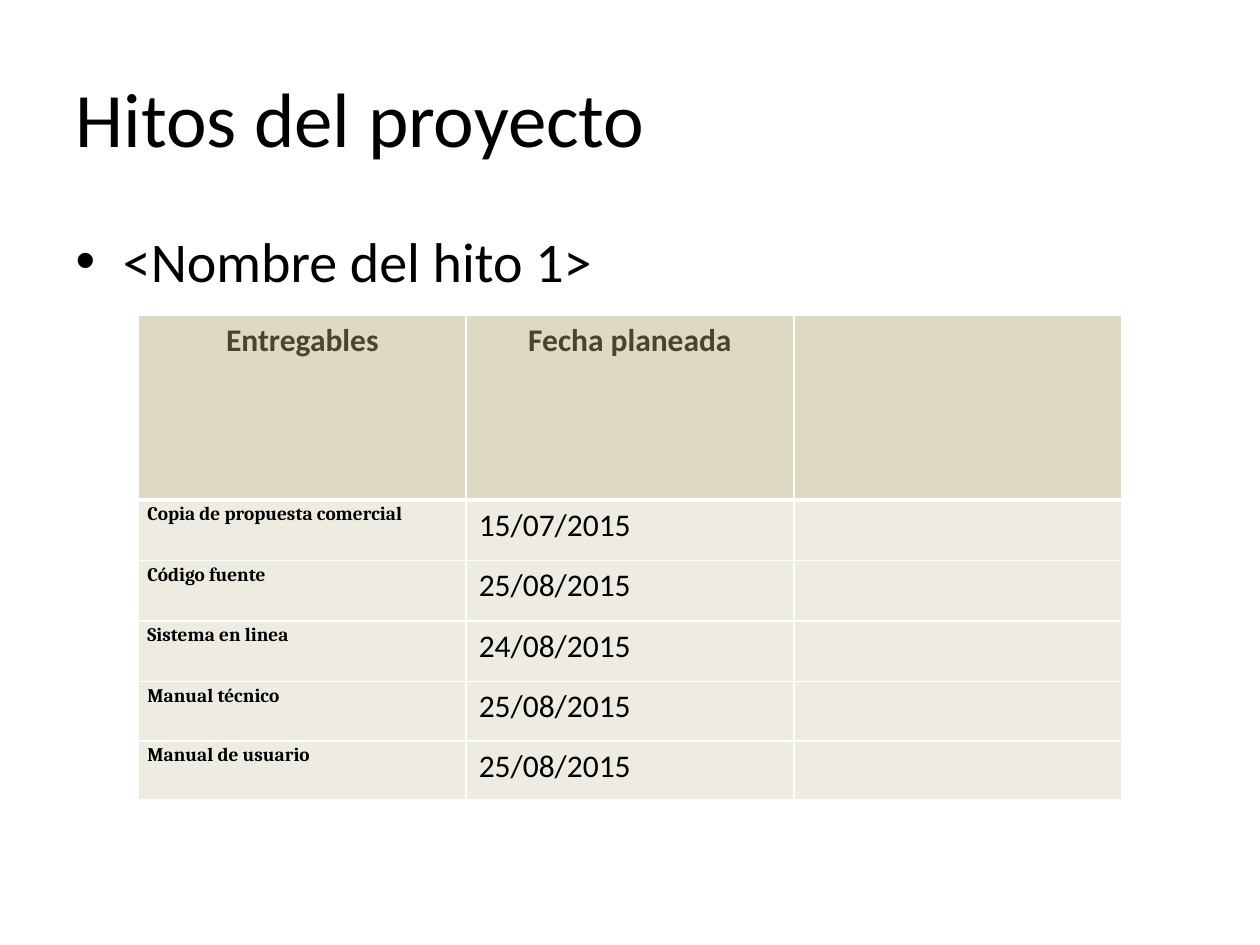
from lxml.etree import SubElement
from pptx import Presentation
from pptx.dml.color import RGBColor
from pptx.enum.text import MSO_ANCHOR, PP_ALIGN
from pptx.oxml.ns import qn
from pptx.util import Inches, Pt

BLACK = RGBColor(0, 0, 0)
WHITE = RGBColor(0xFF, 0xFF, 0xFF)
OLIVE = RGBColor(0x4A, 0x45, 0x2A)
TAN = RGBColor(0xDD, 0xD9, 0xC3)
CREAM = RGBColor(0xEE, 0xEC, 0xE1)

HEAD = {"name": "Calibri", "size": Pt(18), "bold": True}
ITEM = {"name": "Cambria", "size": Pt(11), "bold": True}
DATE = {"name": "Calibri", "size": Pt(18), "bold": False}
INSET = {"margin_left": Inches(0.07), "margin_right": Inches(0.07),
         "margin_top": 0, "margin_bottom": 0}

ROWS = [
    ("Entregables", "Fecha planeada", ""),
    ("Copia de propuesta comercial", "15/07/2015", ""),
    ("Código fuente", "25/08/2015", ""),
    ("Sistema en linea", "24/08/2015", ""),
    ("Manual técnico", "25/08/2015", ""),
    ("Manual de usuario", "25/08/2015", ""),
]
HIGHS = [1.47] + [0.48] * 3 + [0.47] * 2


def style(part, looks):
    for key, value in looks.items():
        setattr(part, key, value)


def write(frame, text, looks, color, align):
    para = frame.paragraphs[0]
    para.alignment = align
    run = para.add_run()
    run.text = text
    style(run.font, looks)
    run.font.color.rgb = color
    return para


def place(shape, box):
    names = ("left", "top", "width", "height")
    style(shape, dict(zip(names, map(Inches, box))))


def edge(cell, widths):
    props = cell._tc.get_or_add_tcPr()
    for spot, (side, width) in enumerate(widths.items()):
        line = SubElement(props, qn(f"a:ln{side}"), w=str(Pt(width)))
        fill = SubElement(line, qn("a:solidFill"))
        SubElement(fill, qn("a:srgbClr"), val=str(WHITE))
        props.insert(spot, line)


def title(slide, box):
    shape = slide.shapes.title
    place(shape, box)
    shape.text_frame.vertical_anchor = MSO_ANCHOR.MIDDLE
    write(shape.text_frame, "Hitos del proyecto",
          {"name": "Calibri", "size": Pt(44)}, BLACK, PP_ALIGN.LEFT)


def body(slide, box):
    shape = slide.placeholders[1]
    place(shape, box)
    write(shape.text_frame, "<Nombre del hito 1>",
          {"name": "Calibri", "size": Pt(32)}, BLACK, PP_ALIGN.LEFT)


def fill_cell(cell, text, row, col):
    head = row == 0
    cell.fill.solid()
    cell.fill.fore_color.rgb = TAN if head else CREAM
    edge(cell, {"L": 1, "R": 1, "T": 3 if row == 1 else 1,
                "B": 3 if head else 1})
    if not text:
        return
    looks = HEAD if head else (ITEM, DATE)[col]
    para = write(cell.text_frame, text, looks, OLIVE if head else BLACK,
                 PP_ALIGN.CENTER if head else PP_ALIGN.LEFT)
    if looks is ITEM:
        style(cell, INSET)
        para.line_spacing = 1.15


def grid(slide, box):
    frame = slide.shapes.add_table(len(ROWS), len(ROWS[0]),
                                   *map(Inches, box))
    table = frame.table
    for col in table.columns:
        col.width = Inches(box[2] / len(ROWS[0]))
    for row, texts in enumerate(ROWS):
        table.rows[row].height = Inches(HIGHS[row])
        for col, text in enumerate(texts):
            fill_cell(table.cell(row, col), text, row, col)


deck = Presentation()
deck.slide_width, deck.slide_height = Inches(10), Inches(7.5)
slide = deck.slides.add_slide(deck.slide_layouts[1])
title(slide, (0.5, 0.3, 9, 1.25))
body(slide, (0.5, 1.75, 9, 0.91))
grid(slide, (1.1, 2.5, 7.8, sum(HIGHS)))
deck.save("out.pptx")
